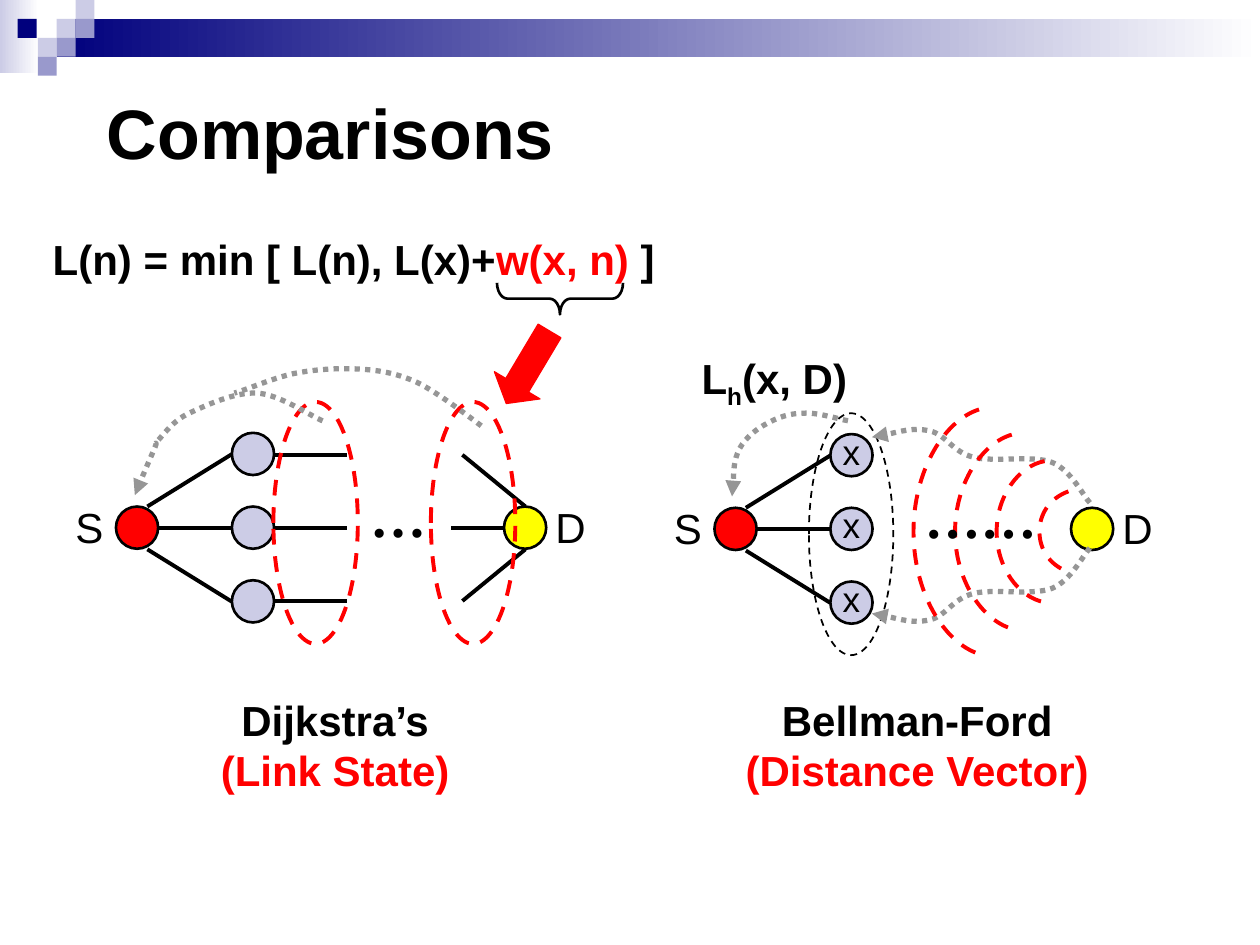
"""Build a slide comparing Dijkstra's and Bellman-Ford shortest-path routing."""
from lxml.etree import SubElement
from pptx import Presentation
from pptx.dml.color import RGBColor
from pptx.enum.dml import MSO_LINE
from pptx.enum.shapes import MSO_CONNECTOR, MSO_SHAPE
from pptx.enum.text import MSO_ANCHOR, PP_ALIGN
from pptx.oxml.ns import qn
from pptx.util import Inches, Pt

BLACK, RED, YELLOW, GREY = "000000", "FF0000", "FFFF00", "969696"
NAVY, LILAC, VIOLET, WHITE = "00007D", "CCCCE6", "9999CC", "FFFFFF"

deck = Presentation()
deck.slide_width, deck.slide_height = Inches(10), Inches(7.5)
page = deck.slides.add_slide(deck.slide_layouts[6])
shapes = page.shapes
column, row = deck.slide_width / 100, deck.slide_height / 75


def style(shape, fill=None, stroke=None, weight=1.5, dash=None):
    if fill:
        shape.fill.solid()
        shape.fill.fore_color.rgb = RGBColor.from_string(fill)
    elif hasattr(shape, "fill"):
        shape.fill.background()
    if stroke:
        shape.line.color.rgb = RGBColor.from_string(stroke)
        shape.line.width = Pt(weight)
        if dash:
            shape.line.dash_style = dash
    else:
        shape.line.fill.background()
    SubElement(shape._element.spPr, qn("a:effectLst"))


def write(frame, paragraphs, size, bold=False, align=PP_ALIGN.LEFT, font="Arial", spacing=1.0):
    frame.word_wrap = False
    for index, spans in enumerate(paragraphs):
        para = frame.add_paragraph() if index else frame.paragraphs[0]
        para.alignment, para.line_spacing = align, spacing
        para.font.size, para.font.bold, para.font.name = Pt(size), bold, font
        for text, color in spans:
            span = para.add_run()
            span.text = text
            span.font.color.rgb = RGBColor.from_string(color)


for left, top, width, height, color in [(0, 0, 3.1, 5.8, LILAC), (4.5, 1.5, 95.5, 3, NAVY)]:
    band = shapes.add_shape(MSO_SHAPE.RECTANGLE, *map(int, (left * column, top * row, width * column, height * row)))
    style(band, WHITE)
    band.fill.gradient()
    band.fill.gradient_angle = 0
    for stop, stop_color in zip(band.fill.gradient_stops, (color, WHITE)):
        stop.color.rgb = RGBColor.from_string(stop_color)

for left, top, color in [(4.5, 1.5, LILAC), (6, 0, LILAC), (6, 1.5, VIOLET), (3, 3, LILAC),
                         (1.4, 1.5, NAVY), (4.5, 3, VIOLET), (3, 4.5, VIOLET)]:
    tile = shapes.add_shape(MSO_SHAPE.RECTANGLE, *map(int, (left * column, top * row, 1.5 * column, 1.5 * row)))
    style(tile, color)

links = [(36.7, 36.1, 41.7, 40.2), (35.8, 41.9, 40, 41.9), (36.7, 47.7, 41.7, 43.6)]
links += [(21.7, y, 27.5, y) for y in (36.1, 41.9, 47.7)]
nodes, labels = [], []
for source, top, target, mark in [(9.2, 40.2, 40, ""), (56.7, 40.3, 85, "x")]:
    nodes += [(source, top, RED, ""), (target, top, YELLOW, "")]
    labels += [(source - 4.2, top - 0.9, 4.2, "S"), (target + 3.1, top - 0.9, 4.4, "D")]
    for step, start_x, start_y in [(-5.85, 2.5, 0), (0, 3.3, 1.7), (5.85, 2.5, 3.4)]:
        nodes.append((source + 9.2, top + step, LILAC, mark))
        links.append((source + start_x, top + start_y, source + 9.2, top + step + 1.7))

for x1, y1, x2, y2 in links:
    link = shapes.add_connector(MSO_CONNECTOR.STRAIGHT,
                                *map(int, (x1 * column, y1 * row, x2 * column, y2 * row)))
    style(link, None, BLACK, 2.25)

for left, top, color, mark in nodes:
    node = shapes.add_shape(MSO_SHAPE.OVAL, *map(int, (left * column, top * row, 3.35 * column, 3.35 * row)))
    style(node, color, BLACK)
    if mark:
        frame = node.text_frame
        frame.margin_left = frame.margin_right = frame.margin_top = frame.margin_bottom = 0
        frame.vertical_anchor = MSO_ANCHOR.MIDDLE
        write(frame, [[(mark, BLACK)]], 20, align=PP_ALIGN.CENTER, spacing=0.8)

for left, top, color, weight in [(21.7, 31.9, RED, 2.25), (34.2, 31.9, RED, 2.25), (64.2, 32.8, BLACK, 1)]:
    ring = shapes.add_shape(MSO_SHAPE.OVAL, *map(int, (left * column, top * row, 6.7 * column, 19.2 * row)))
    style(ring, None, color, weight, MSO_LINE.DASH)

upper_path = [(86.5, 39.9), (86, 39.4), (85, 37.3), (83.5, 36.7), (81.9, 36.1), (78.9, 36.7), (77.3, 36.3),
              (75.6, 35.9), (75.1, 34.5), (73.8, 34.2), (72.4, 33.9), (70.1, 34.6), (69.2, 34.7)]
lower_path = [(x, 83.4 - y) for x, y in upper_path]
near_path = [(25.6, 33.4), (24.8, 33.1), (22.2, 31.3), (20.4, 31.2), (18.6, 31.1), (16.3, 32.2), (15, 32.8),
             (13.7, 33.4), (12.9, 34.6), (12.5, 35), (12, 35.5), (12.6, 34.8), (12.3, 35.5),
             (12, 36.2), (11, 38.5), (10.7, 39.3)]
far_path = [(38.2, 33.8), (37.4, 33.2), (34.8, 31.2), (33.2, 30.4), (31.7, 29.7), (30.3, 29.4), (28.6, 29.3),
            (27, 29.2), (25.2, 29.3), (23.6, 29.6), (21.9, 29.9), (19.7, 30.9), (18.6, 31.2)]
back_path = [(67.3, 33.4), (66.7, 33.3), (64.8, 32.7), (63.8, 32.8), (62.7, 32.8), (61.8, 33.1), (60.9, 33.6),
             (60.1, 34), (59.2, 34.7), (58.7, 35.6), (58.2, 36.6), (58.2, 38.6), (58.1, 39.4)]
curves = [(path_points, GREY, 3, MSO_LINE.ROUND_DOT, arrow) for path_points, arrow in
          [(near_path, True), (far_path, False), (upper_path, True), (back_path, True), (lower_path, True)]]
for tip_x, tip_y, bend_x, bend_y, edge, edge_y in [
        (84.8, 39, 83.2, 39.6, 82.5, 40.9), (82.9, 36.6, 80.8, 37, 79.1, 39.4),
        (80.3, 34.5, 77.9, 35.2, 75.8, 38.4), (77.7, 32.5, 74.9, 33.4, 72.5, 37.4)]:
    half = [(tip_x, tip_y), (bend_x, bend_y), (edge, edge_y)]
    wave = half + [(edge, 42.2)] + [(x, 84.4 - y) for x, y in reversed(half)]
    curves.append((wave, RED, 2.25, MSO_LINE.DASH, False))

for points, color, weight, dash, arrow in curves:
    corners = [(int(x * column), int(y * row)) for x, y in points]
    builder = shapes.build_freeform(*corners[0])
    builder.add_line_segments(corners[1:], close=False)
    curve = builder.convert_to_shape()
    style(curve, None, color, weight, dash)
    outline = next(curve._element.iter(qn("a:path")))
    segments = outline.findall(qn("a:lnTo"))
    for index in range(0, len(segments), 3):
        bezier = SubElement(outline, qn("a:cubicBezTo"))
        for segment in segments[index:index + 3]:
            bezier.append(segment[0])
            outline.remove(segment)
    if arrow:
        SubElement(curve.line._get_or_add_ln(), qn("a:tailEnd"), type="triangle")

for kind, left, top, width, height, turn, adjustments, fill, stroke, weight in [
        (MSO_SHAPE.LEFT_BRACE, 43.2, 18.7, 2.5, 10, 270, (0.33, 0.5), None, BLACK, 1.5),
        (MSO_SHAPE.DOWN_ARROW, 39.8, 25.8, 4.2, 6.7, 30.8, (0.5, 0.4), RED, RED, 0.75)]:
    pointer = shapes.add_shape(kind, *map(int, (left * column, top * row, width * column, height * row)))
    pointer.rotation = turn
    for index, value in enumerate(adjustments):
        pointer.adjustments[index] = value
    style(pointer, fill, stroke, weight)

center, serif = PP_ALIGN.CENTER, "Times New Roman"
texts = [(left, top, width, 5, [[(text, BLACK)]], 24, False) for left, top, width, text in labels]
texts += [
    (7.5, 5, 85, 10.8, [[("Comparisons", BLACK)]], 40, True),
    (28.4, 37.7, 6.4, 6.4, [[("…", BLACK)]], 32, True, PP_ALIGN.LEFT, serif),
    (72.4, 37.8, 10.9, 6.4, [[("……", BLACK)]], 32, True, PP_ALIGN.LEFT, serif),
    (54.7, 27.5, 16, 5.6, [[("L", BLACK), ("h", BLACK), ("(x, D)", BLACK)]], 24, True),
    (3.2, 18, 51.2, 5.2, [[("L(n) = min [ L(n), L(x)+", BLACK), ("w(x, n)", RED), (" ]", BLACK)]], 24, True),
    (16.5, 54.6, 20.2, 9, [[("Dijkstra’s", BLACK)], [("(Link State)", RED)]], 24, True, center),
    (58.1, 54.6, 29.4, 9, [[("Bellman-Ford", BLACK)], [("(Distance Vector)", RED)]], 24, True, center),
]
for left, top, width, height, *content in texts:
    box = shapes.add_textbox(*map(int, (left * column, top * row, width * column, height * row)))
    write(box.text_frame, *content)
    if box.text_frame.text == "Comparisons":
        box.text_frame.vertical_anchor = MSO_ANCHOR.MIDDLE
    for span in box.text_frame.paragraphs[0].runs:
        if span.text == "h":
            span.font._element.set("baseline", "-25000")

deck.save("out.pptx")
